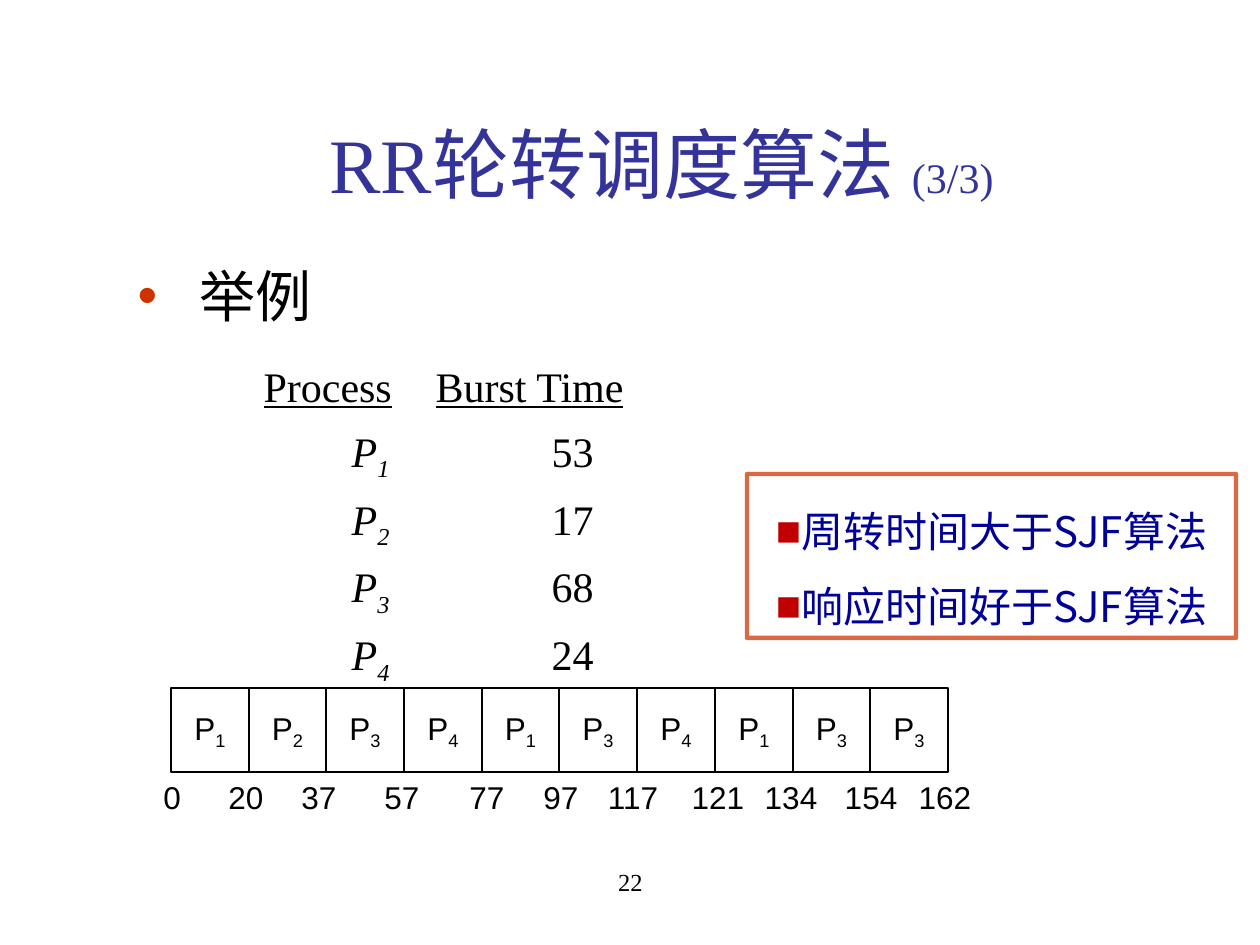
from dataclasses import dataclass, replace

from lxml.etree import SubElement as Sub
from pptx import Presentation
from pptx.dml.color import RGBColor as Rgb
from pptx.enum.shapes import MSO_SHAPE as Shape
from pptx.enum.text import MSO_ANCHOR as Anchor, MSO_AUTO_SIZE as Fit, PP_ALIGN as Align
from pptx.oxml.ns import qn
from pptx.util import Pt

SCALE = 914400 / 126
BLACK = Rgb(0x00, 0x00, 0x00)
WHITE = Rgb(0xFF, 0xFF, 0xFF)
INDIGO = Rgb(0x33, 0x33, 0x99)
NAVY = Rgb(0x00, 0x00, 0x99)
RUST = Rgb(0xCC, 0x33, 0x00)
RED = Rgb(0xC0, 0x00, 0x00)
SERIF, SANS, HAN = "Times New Roman", "Arial", "Noto Sans CJK SC"


@dataclass(frozen=True)
class Box:
    x: int
    y: int
    w: int
    h: int

    def emu(self) -> tuple:
        return tuple(px(v) for v in (self.x, self.y, self.w, self.h))


@dataclass(frozen=True)
class Ink:
    size: int
    face: str
    hue: Rgb = BLACK
    slant: bool = False
    under: bool = False
    sub: bool = False


@dataclass(frozen=True)
class Job:
    name: str
    burst: int


@dataclass(frozen=True)
class Mark:
    time: int
    mid: int


JOBS = [Job("1", 53), Job("2", 17), Job("3", 68), Job("4", 24)]
TURNS = "1234134133"
MARKS = [Mark(0, 172), Mark(20, 246), Mark(37, 319), Mark(57, 402), Mark(77, 487),
         Mark(97, 561), Mark(117, 633), Mark(121, 718), Mark(134, 791),
         Mark(154, 871), Mark(162, 945)]
NOTES = ["周转时间大于SJF算法", "响应时间好于SJF算法"]
CHART = Box(171, 688, 777, 84)


def px(value: float) -> int:
    return round(value * SCALE)


def write(para, *parts: tuple) -> None:
    for text, ink in parts:
        run = para.add_run()
        run.text = text
        font = run.font
        font.size, font.name = Pt(ink.size), ink.face
        font.color.rgb = ink.hue
        font.italic, font.underline = ink.slant, ink.under
        props = font._element
        Sub(props, qn("a:ea"), typeface=ink.face)
        if ink.sub:
            props.set("baseline", "-25000")


def bullet(para, char: str, hue: Rgb, hang: int = 0) -> None:
    props = para._p.get_or_add_pPr()
    props.set("marL", str(px(hang)))
    props.set("indent", str(-px(hang)))
    Sub(Sub(props, qn("a:buClr")), qn("a:srgbClr"), val=str(hue))
    Sub(props, qn("a:buFont"), typeface=SANS)
    Sub(props, qn("a:buChar"), char=char)


def columns(para, left: int, step: int) -> None:
    props = para._p.get_or_add_pPr()
    props.set("marL", str(px(left)))
    props.set("indent", "0")
    props.set("defTabSz", str(px(step)))
    Sub(props, qn("a:buNone"))


def place(holder, box: Box):
    holder.left, holder.top, holder.width, holder.height = box.emu()
    holder.text_frame.auto_size = Fit.NONE
    return holder.text_frame


def label(slide, box: Box, text: str, ink: Ink, anchor: Anchor) -> None:
    frame = slide.shapes.add_textbox(*box.emu()).text_frame
    frame.word_wrap = False
    frame.vertical_anchor = anchor
    para = frame.paragraphs[0]
    para.alignment = Align.CENTER
    write(para, (text, ink))


def block(slide, box: Box, line: Rgb, width: float):
    shape = slide.shapes.add_shape(Shape.RECTANGLE, *box.emu())
    shape.shadow.inherit = False
    shape.line.color.rgb = line
    shape.line.width = Pt(width)
    shape.text_frame.word_wrap = False
    return shape


def draw_title(slide) -> None:
    frame = place(slide.shapes.title, Box(126, 84, 1071, 158))
    frame.vertical_anchor = Anchor.MIDDLE
    para = frame.paragraphs[0]
    para.alignment = Align.CENTER
    big = Ink(44, SERIF, INDIGO)
    write(para, ("RR", big), ("轮转调度算法 ", replace(big, face=HAN)),
          ("(3/3)", replace(big, size=24)))


def draw_body(slide) -> None:
    frame = place(slide.placeholders[1], Box(125, 255, 1040, 567))
    head = frame.paragraphs[0]
    bullet(head, "•", RUST, 62)
    head.space_before = Pt(0)
    write(head, ("举例", Ink(32, HAN)))
    plain = Ink(24, SERIF)
    under, slant = replace(plain, under=True), replace(plain, slant=True)
    low = replace(slant, sub=True)
    rows = [[("Process", under), ("\t", replace(plain, size=36)), ("Burst Time", under)]]
    rows += [[("P", slant), (job.name, low), (f"\t{job.burst}", plain)] for job in JOBS]
    for row, stops in zip(rows, [(126, 172)] + [(214, 200)] * len(JOBS)):
        para = frame.add_paragraph()
        columns(para, *stops)
        para.space_before = Pt(6)
        write(para, *row)


def draw_chart(slide) -> None:
    ink = Ink(18, SANS)
    edges = [CHART.x + round(CHART.w * i / len(TURNS)) for i in range(len(TURNS) + 1)]
    for name, left, right in zip(TURNS, edges, edges[1:]):
        cell = block(slide, Box(left, CHART.y, right - left, CHART.h), BLACK, 0.75)
        cell.fill.solid()
        cell.fill.fore_color.rgb = WHITE
        para = cell.text_frame.paragraphs[0]
        para.alignment = Align.CENTER
        write(para, ("P", ink), (name, replace(ink, sub=True)))
    for mark in MARKS:
        text = str(mark.time)
        wide = 28 + 18 * len(text)
        label(slide, Box(mark.mid - wide // 2, 772, wide, 50), text, ink, Anchor.MIDDLE)


def draw_notes(slide) -> None:
    shape = block(slide, Box(747, 474, 489, 164), RUST, 2.5)
    shape.fill.background()
    tint = shape.line.fill._xPr.find(".//" + qn("a:srgbClr"))
    Sub(tint, qn("a:alpha"), val="73000")
    frame = shape.text_frame
    frame.vertical_anchor = Anchor.TOP
    for i, text in enumerate(NOTES):
        para = frame.add_paragraph() if i else frame.paragraphs[0]
        bullet(para, "■", RED)
        para.alignment = Align.CENTER
        para.line_spacing = 1.5
        write(para, (text, Ink(24, HAN, NAVY)))


def main() -> None:
    """Build the round-robin example slide."""
    deck = Presentation()
    deck.slide_width, deck.slide_height = px(1260), px(945)
    slide = deck.slides.add_slide(deck.slide_layouts[1])
    label(slide, Box(431, 861, 399, 63), "22", Ink(14, SERIF), Anchor.TOP)
    draw_body(slide)
    draw_title(slide)
    draw_chart(slide)
    draw_notes(slide)
    deck.save("out.pptx")


if __name__ == "__main__":
    main()
